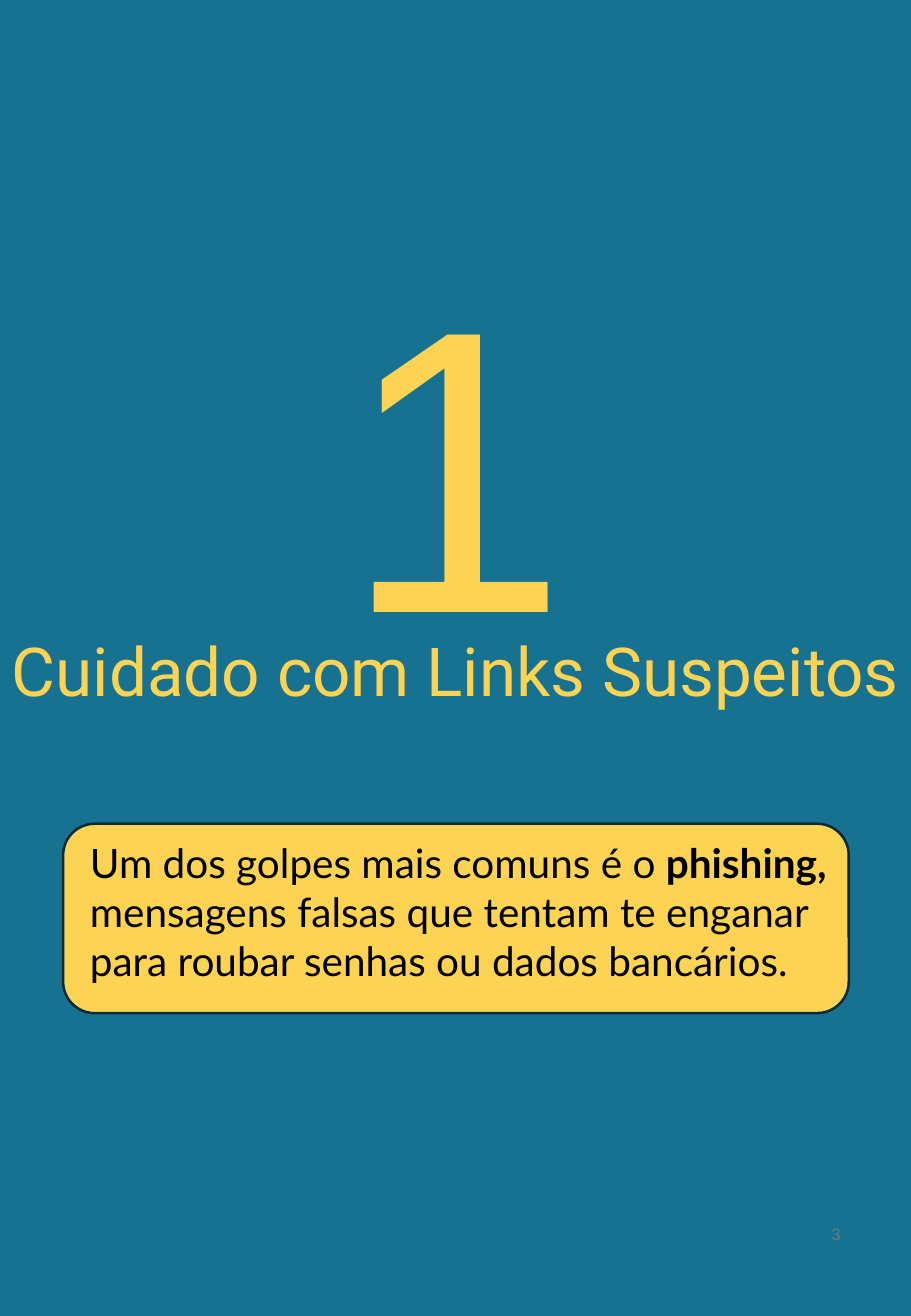
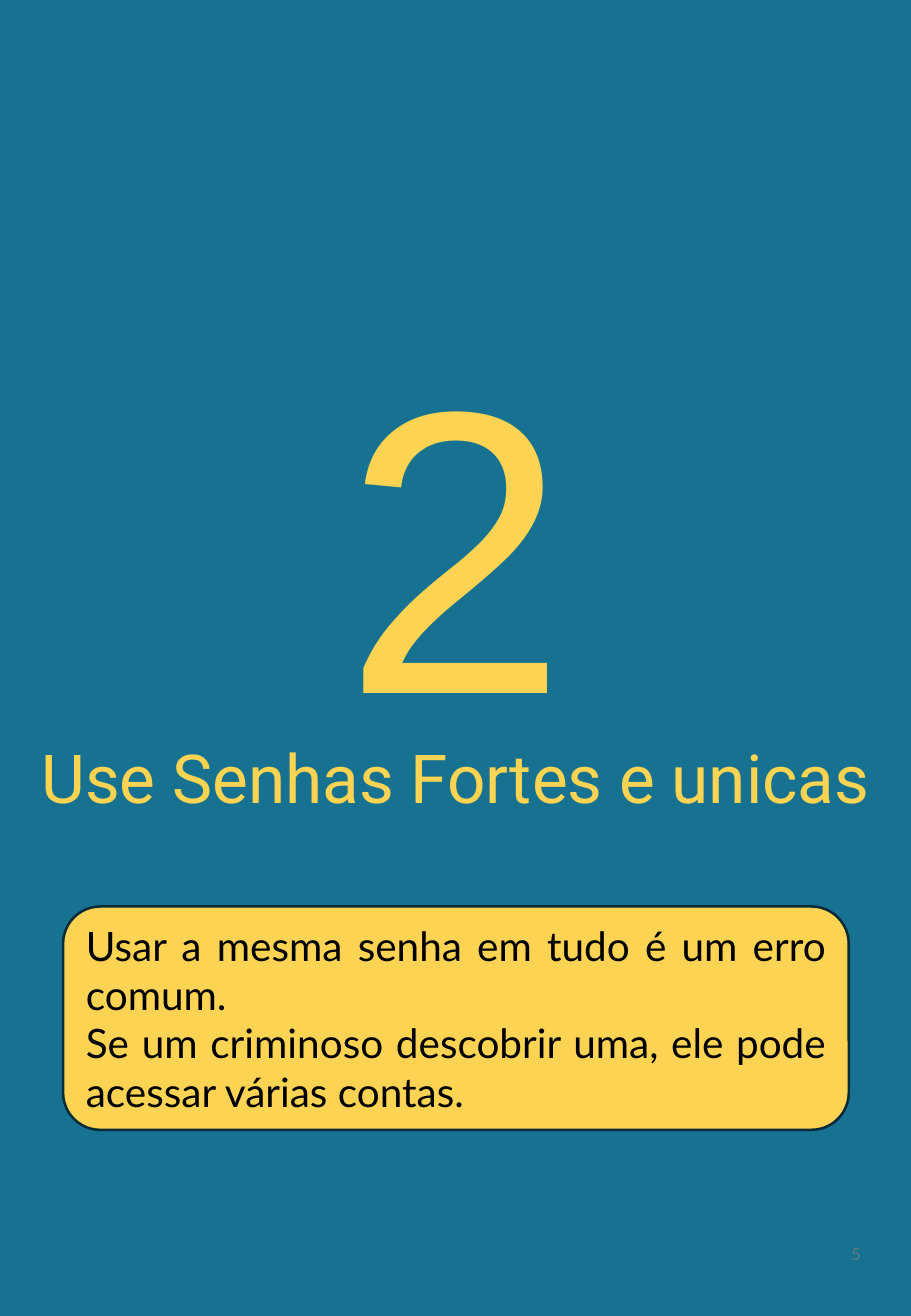
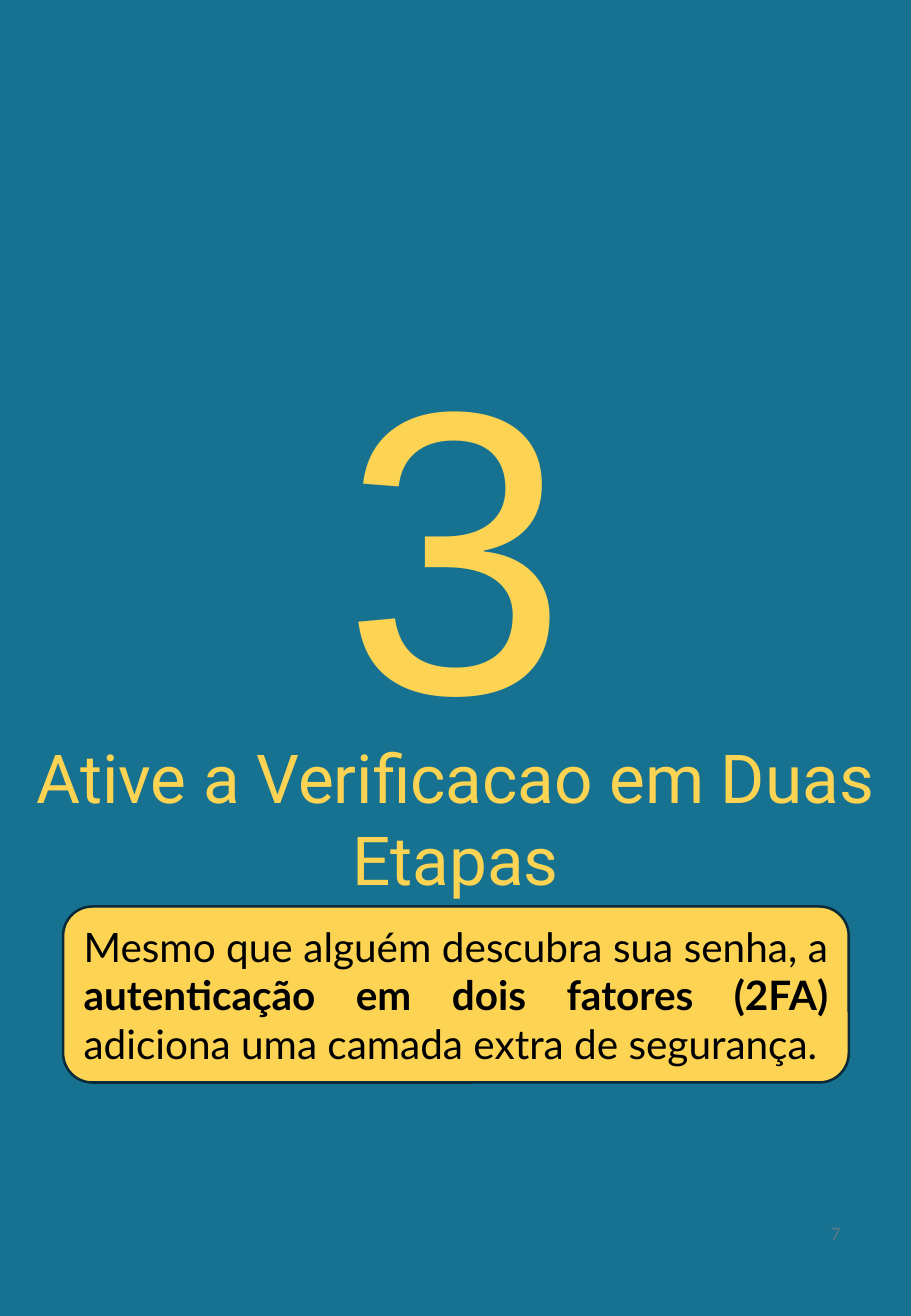
from pptx import Presentation
from pptx.dml.color import RGBColor
from pptx.enum.shapes import MSO_SHAPE
from pptx.enum.text import MSO_ANCHOR, PP_ALIGN
from pptx.util import Cm, Pt

TEAL = RGBColor(0x16, 0x72, 0x90)
YELLOW = RGBColor(0xFC, 0xD3, 0x52)
NAVY = RGBColor(0x09, 0x2A, 0x39)
BLACK = RGBColor(0, 0, 0)
GREY = RGBColor(0x60, 0x7B, 0x85)

PAGE_WIDTH, PAGE_HEIGHT = 19.05, 27.51
CARD_LEFT, CARD_WIDTH = 1.32, 16.43

NUMERAL = {"name": "Arial", "size": Pt(239), "color": YELLOW}
TITLE = {"name": "Roboto", "size": Pt(40), "color": YELLOW}
BODY = {"name": "Lato", "size": Pt(24), "color": BLACK}
FOOTER = {"name": "Lato", "size": Pt(10), "color": GREY}

CENTERED = {"alignment": PP_ALIGN.CENTER}
NUMERAL_LINE = CENTERED | {"line_spacing": Pt(297)}
TITLE_LINE = CENTERED | {"line_spacing": Pt(48.6)}
LEFT = {"alignment": PP_ALIGN.LEFT}
RIGHT = {"alignment": PP_ALIGN.RIGHT}
JUSTIFIED = {"alignment": PP_ALIGN.JUSTIFY}


def apply_format(target, values):
    for name, value in values.items():
        if name == "color":
            target.color.rgb = value
        else:
            setattr(target, name, value)


def write_text(shape, paragraphs, font, layout, anchor=MSO_ANCHOR.TOP):
    frame = shape.text_frame
    frame.word_wrap = True
    frame.vertical_anchor = anchor
    for index, spans in enumerate(paragraphs):
        para = frame.add_paragraph() if index else frame.paragraphs[0]
        apply_format(para, layout)
        for text, bold in spans:
            span = para.add_run()
            span.text = text
            apply_format(span.font, font | {"bold": bold})


def add_text(page, area, paragraphs, font, layout):
    box = page.shapes.add_textbox(*map(Cm, area))
    write_text(box, paragraphs, font, layout)


def add_label(page, area, text, font, layout):
    add_text(page, area, [[(text, False)]], font, layout)


def add_panel(page, kind, area, fill, line=None):
    panel = page.shapes.add_shape(kind, *map(Cm, area))
    panel.shadow.inherit = False
    panel.fill.solid()
    panel.fill.fore_color.rgb = fill
    if line is None:
        panel.line.fill.background()
    else:
        panel.line.color.rgb = line
        panel.line.width = Pt(1.5)
    return panel


def add_card(page, top, height):
    area = (CARD_LEFT, top, CARD_WIDTH, height)
    return add_panel(page, MSO_SHAPE.ROUNDED_RECTANGLE, area, YELLOW, NAVY)


def add_chapter(deck, numeral, title, numeral_top, title_top):
    page = deck.slides.add_slide(deck.slide_layouts[6])
    add_panel(page, MSO_SHAPE.RECTANGLE, (0, 0, PAGE_WIDTH, PAGE_HEIGHT), TEAL)
    add_label(page, (4.01, numeral_top, 11.02, 10.46), numeral, NUMERAL, NUMERAL_LINE)
    add_label(page, (0, title_top, PAGE_WIDTH, 3.68), title, TITLE, TITLE_LINE)
    return page


def add_page_number(page, number, right, middle, font=FOOTER):
    width, height = 4, 0.7
    area = (right - width, middle - height / 2, width, height)
    add_label(page, area, number, font, RIGHT)


def main():
    deck = Presentation()
    deck.slide_width, deck.slide_height = Cm(PAGE_WIDTH), Cm(PAGE_HEIGHT)

    links = add_chapter(deck, "1", "Cuidado com Links Suspeitos", 3.89, 13)
    add_card(links, 17.22, 3.96)
    add_text(links, (1.63, 17.4, 16.76, 3.33), [[
        ("Um dos golpes mais comuns é o ", False),
        ("phishing, ", True),
        ("mensagens falsas que tentam te enganar para roubar senhas ou dados bancários.", False),
    ]], BODY, LEFT)
    add_page_number(links, "3", 17.83, 25.8, FOOTER | {"name": "Arial"})

    passwords = add_chapter(deck, "2", "Use Senhas Fortes e unicas", 5.59, 15.24)
    write_text(add_card(passwords, 18.95, 4.67), [
        [("Usar a mesma senha em tudo é um erro comum.", False)],
        [("Se um criminoso descobrir uma, ele pode acessar várias contas.", False)],
    ], BODY, JUSTIFIED, MSO_ANCHOR.MIDDLE)
    add_page_number(passwords, "5", 18.25, 26.22)

    two_steps = add_chapter(deck, "3", "Ative a Verificacao em Duas Etapas", 5.59, 15.24)
    write_text(add_card(two_steps, 18.95, 3.68), [[
        ("Mesmo que alguém descubra sua senha, a ", False),
        ("autenticação em dois fatores (2FA)", True),
        (" adiciona uma camada extra de segurança.", False),
    ]], BODY, JUSTIFIED, MSO_ANCHOR.MIDDLE)
    add_page_number(two_steps, "7", 17.83, 25.8)

    deck.save("out.pptx")


if __name__ == "__main__":
    main()
